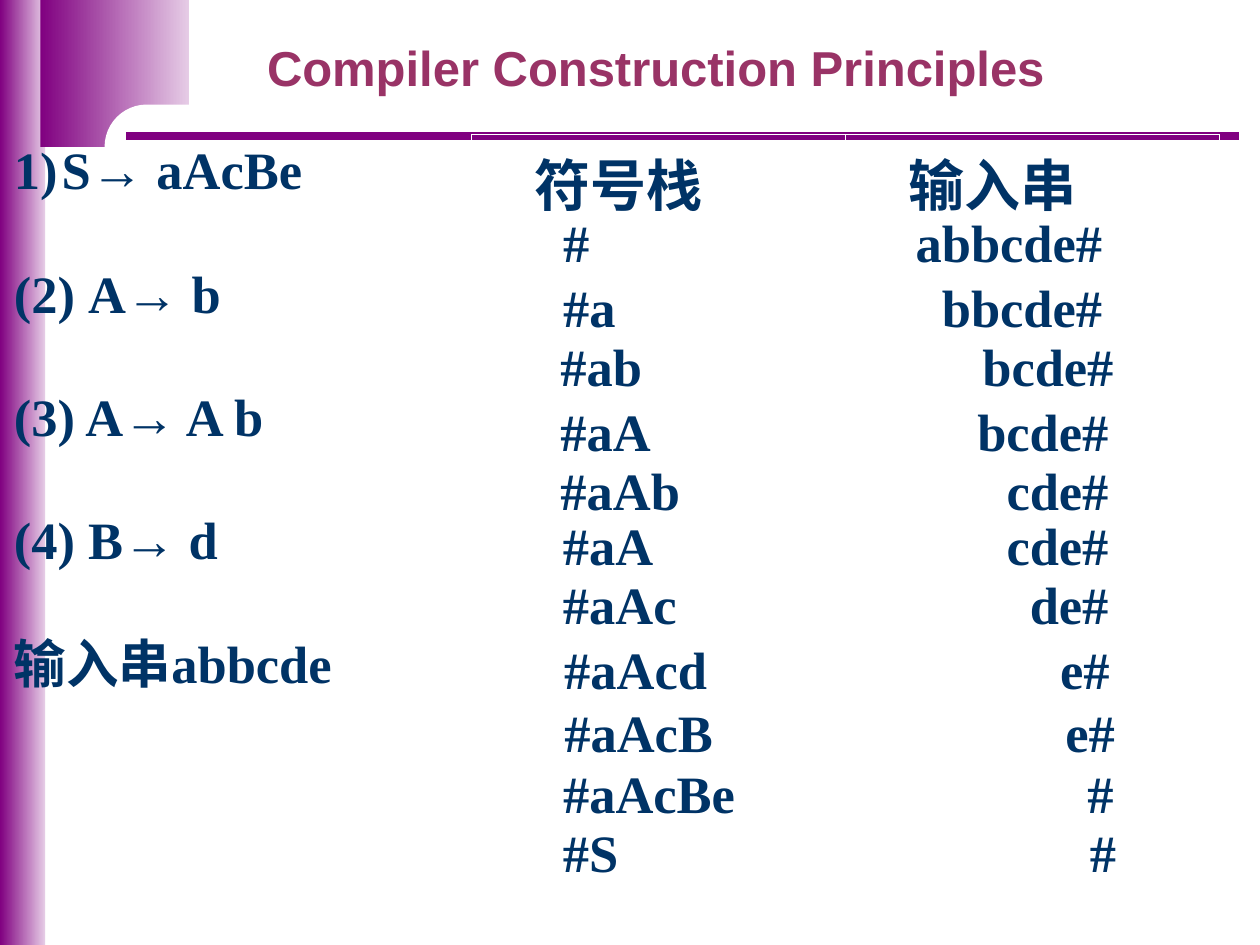
"""Builds the slide that traces a shift-reduce parse of abbcde."""
import pptx
import pptx.dml.color
import pptx.enum.shapes
import pptx.enum.text
import pptx.oxml.ns
import pptx.util
from lxml import etree

Inches = pptx.util.Inches
Pt = pptx.util.Pt
RGBColor = pptx.dml.color.RGBColor
Shape = pptx.enum.shapes.MSO_SHAPE
Align = pptx.enum.text.PP_ALIGN

PURPLE = RGBColor(0x80, 0x00, 0x80)
LILAC = RGBColor(0xE6, 0xCC, 0xE6)
PLUM = RGBColor(0x99, 0x33, 0x66)
NAVY = RGBColor(0x00, 0x33, 0x66)
WHITE = RGBColor(0xFF, 0xFF, 0xFF)

TITLE_FORMAT = {"name": "Arial", "size": Pt(28), "bold": True}
HEADER_FORMAT = {"name": "Arial", "size": Pt(32), "bold": True}
BODY_FORMAT = {"name": "Times New Roman", "size": Pt(30), "bold": True}

GRAMMAR = ["S→ aAcBe", "(2)\u00a0A→ b", "(3) A→ A b", "(4) B→ d", "输入串abbcde"]
HEADERS = ["符号栈", "输入串"]
PARSE_STEPS = [
    (4.37, 1.62, 4.49, "#", "abbcde#"),
    (4.37, 2.13, 4.49, "#a", "bbcde#"),
    (4.35, 2.60, 4.60, "#ab", "bcde#"),
    (4.35, 3.12, 4.56, "#aA", "bcde#"),
    (4.35, 3.59, 4.56, "#aAb", "cde#"),
    (4.37, 4.02, 4.54, "#aA", "cde#"),
    (4.37, 4.49, 4.54, "#aAc", "de#"),
    (4.38, 5.01, 4.54, "#aAcd", "e#"),
    (4.38, 5.51, 4.58, "#aAcB", "e#"),
    (4.37, 5.99, 4.58, "#aAcBe", "#"),
    (4.37, 6.46, 4.60, "#S", "#"),
]


def add_child(parent, tag, **attributes):
    """Append a DrawingML element and return it."""
    return etree.SubElement(parent, pptx.oxml.ns.qn(tag), attributes)


class SlideBuilder:
    """Holds the current slide and draws each kind of element on it."""

    def __init__(self, slide):
        self.slide = slide

    def add_text(self, paragraph, text, values, color):
        """Add one formatted run to a paragraph."""
        run = paragraph.add_run()
        run.text = text
        for name, value in values.items():
            setattr(run.font, name, value)
        run.font.color.rgb = color

    def panel(self, kind, left, top, width, height, gradient=False):
        """Draw a borderless panel, white or fading from purple."""
        shape = self.slide.shapes.add_shape(
            kind, Inches(left), Inches(top), Inches(width), Inches(height))
        shape.shadow.inherit = False
        shape.line.fill.background()
        if gradient:
            shape.fill.gradient()
            shape.fill.gradient_angle = 0
            for stop, color in zip(shape.fill.gradient_stops, (PURPLE, LILAC)):
                stop.color.rgb = color
        else:
            shape.fill.solid()
            shape.fill.fore_color.rgb = WHITE
        return shape

    def rule(self, left, right, top):
        """Draw a thick horizontal rule."""
        line = self.slide.shapes.add_connector(
            pptx.enum.shapes.MSO_CONNECTOR.STRAIGHT,
            Inches(left), Inches(top), Inches(right), Inches(top))
        line.line.color.rgb = PURPLE
        line.line.width = Pt(4.5)
        add_child(line.element.spPr, "a:effectLst")

    def place(self, shape, left, top, width, height):
        """Move a placeholder to the front and to its position."""
        shape.element.getparent().append(shape.element)
        shape.left, shape.top = Inches(left), Inches(top)
        shape.width, shape.height = Inches(width), Inches(height)
        frame = shape.text_frame
        frame.auto_size = pptx.enum.text.MSO_AUTO_SIZE.NONE
        frame.vertical_anchor = pptx.enum.text.MSO_ANCHOR.TOP
        frame.word_wrap = True
        return frame

    def title(self, text):
        """Fill the title placeholder."""
        frame = self.place(self.slide.shapes.title, 1.91, 0.25, 6.59, 0.57)
        frame.paragraphs[0].alignment = Align.CENTER
        self.add_text(frame.paragraphs[0], text, TITLE_FORMAT, PLUM)

    def grammar(self, lines):
        """Fill the body placeholder, numbering only the first rule."""
        frame = self.place(self.slide.placeholders[1], 0.01, 1.04, 3.57, 4.6)
        for index, text in enumerate(lines):
            paragraph = frame.add_paragraph() if index else frame.paragraphs[0]
            properties = paragraph._p.get_or_add_pPr()
            properties.set("marL", str(Inches(0.38)))
            properties.set("indent", str(Inches(-0.38)))
            if index:
                add_child(properties, "a:buNone")
            else:
                color = add_child(properties, "a:buClr")
                add_child(color, "a:srgbClr", val=str(NAVY))
                add_child(properties, "a:buFont", typeface=BODY_FORMAT["name"])
                add_child(properties, "a:buAutoNum", type="arabicParenR")
            paragraph.space_before = Pt(34.5 if index else 0)
            self.add_text(paragraph, text, BODY_FORMAT, NAVY)

    def table(self, headers):
        """Draw the white-bordered table with its heading row."""
        table = self.slide.shapes.add_table(
            2, len(headers), Inches(3.74), Inches(1.07), Inches(5.94), Inches(6.22)).table
        table.first_row = table.horz_banding = False
        table.rows[0].height, table.rows[1].height = Inches(0.75), Inches(5.47)
        for cell in table.iter_cells():
            properties = cell._tc.get_or_add_tcPr()
            for side in ("a:lnL", "a:lnR", "a:lnT", "a:lnB"):
                border = add_child(properties, side, w=str(Pt(0.45)))
                fill = add_child(border, "a:solidFill")
                add_child(fill, "a:srgbClr", val=str(WHITE))
            cell.fill.background()
        for column, text in enumerate(headers):
            cell = table.cell(0, column)
            cell.margin_left = Inches(0.5)
            self.add_text(cell.text_frame.paragraphs[0], text, HEADER_FORMAT, NAVY)

    def parse_step(self, left, top, width, stack, remaining):
        """Put the stack at the left and the input against the right edge."""
        box = self.slide.shapes.add_textbox(
            Inches(left), Inches(top), Inches(width), Inches(0.6))
        box.text_frame.word_wrap = True
        paragraph = box.text_frame.paragraphs[0]
        tabs = add_child(paragraph._p.get_or_add_pPr(), "a:tabLst")
        add_child(tabs, "a:tab", pos=str(Inches(width - 0.21)), algn="r")
        self.add_text(paragraph, f"{stack}\t{remaining}", BODY_FORMAT, NAVY)


def main():
    """Build and save the presentation."""
    presentation = pptx.Presentation()
    presentation.slide_width, presentation.slide_height = Inches(10), Inches(7.5)
    builder = SlideBuilder(presentation.slides.add_slide(presentation.slide_layouts[1]))
    builder.panel(Shape.RECTANGLE, 0, 0, 0.36, 7.5, gradient=True)
    builder.panel(Shape.RECTANGLE, 0.32, 0, 1.18, 1.17, gradient=True)
    corner = builder.panel(Shape.ROUNDED_RECTANGLE, 0.83, 0.83, 5.58, 0.67)
    corner.adjustments[0] = 0.5
    builder.rule(1, 9.83, 1.08)
    builder.title("Compiler Construction Principles")
    builder.grammar(GRAMMAR)
    builder.table(HEADERS)
    for step in PARSE_STEPS:
        builder.parse_step(*step)
    presentation.save("out.pptx")


if __name__ == "__main__":
    main()
